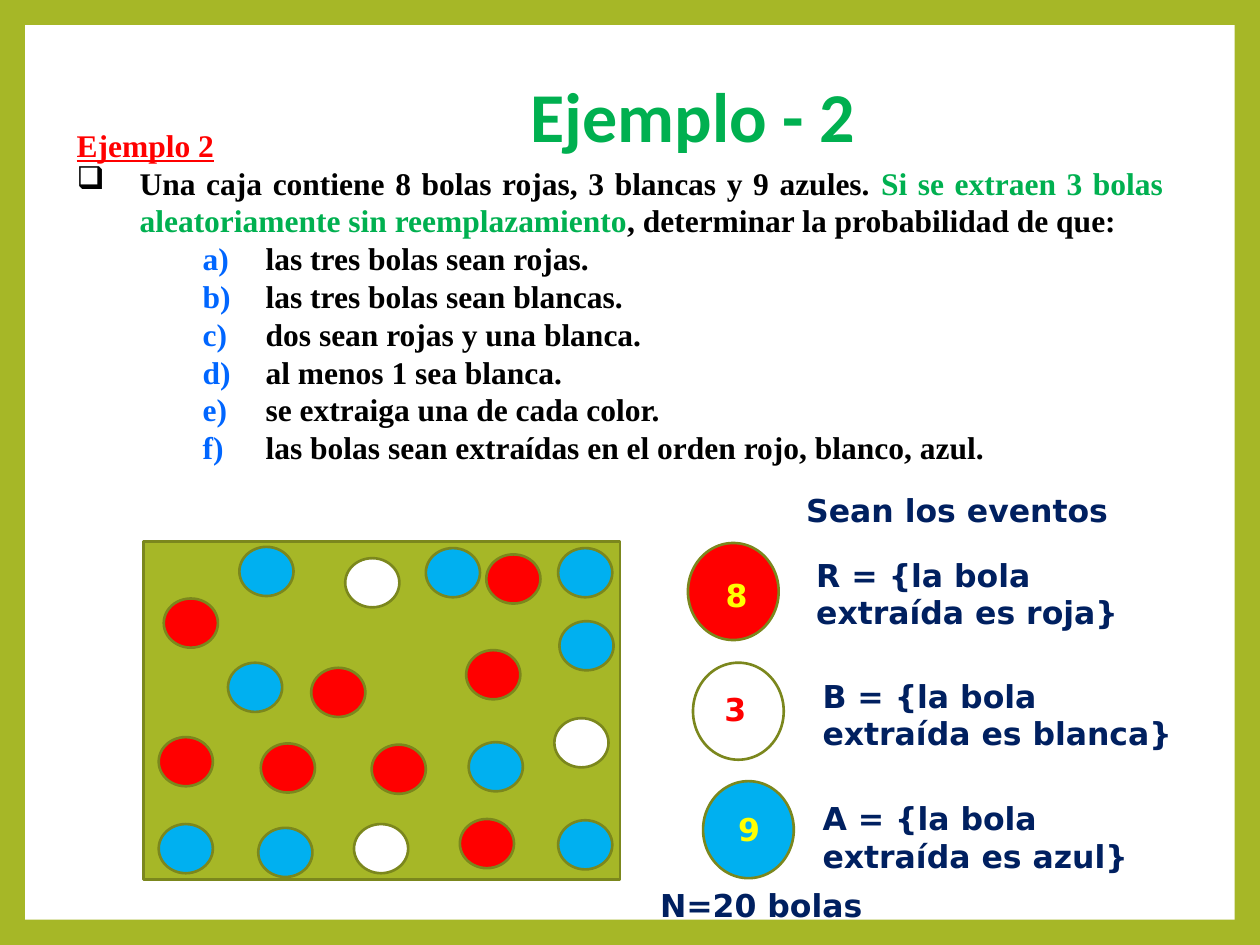
import pptx
import pptx.dml.color
import pptx.enum.shapes
import pptx.enum.text
import pptx.oxml
import pptx.oxml.ns
import pptx.util
from pptx.util import Inches

COLOURS = {
    "olive": "A6B727", "dark olive": "7B871D", "white": "FFFFFF",
    "red": "FF0000", "blue": "00B0F0", "green": "00B050",
    "yellow": "FFFF00", "navy": "002060", "black": "000000",
    "letter": "0066FF",
}
SHAPES = pptx.enum.shapes.MSO_SHAPE
ALIGN = pptx.enum.text.PP_ALIGN
ANCHOR = pptx.enum.text.MSO_ANCHOR

BALL_SIZE = (0.43, 0.39)
BALLS = {
    "red": [(1.3, 4.75), (2.47, 5.3), (1.26, 5.85), (3.7, 5.16),
            (2.95, 5.91), (2.07, 5.9), (3.86, 4.4), (3.65, 6.5)],
    "white": [(2.81, 6.54), (2.74, 4.43), (4.4, 5.7)],
    "blue": [(2.05, 6.57), (3.72, 5.89), (1.81, 5.26), (4.44, 4.93),
             (3.38, 4.35), (4.43, 6.51), (1.9, 4.34), (1.26, 6.54),
             (4.43, 4.35)],
}
# ball colour, ball position, count colour, count position, text, text place
EVENTS = [
    ("red", (5.46, 4.31), "yellow", (5.66, 4.52),
     "R = {la bola extraída es roja}", (6.38, 4.36, 2.76, 0.71)),
    ("white", (5.5, 5.26), "red", (5.65, 5.43),
     "B = {la bola extraída es blanca}", (6.43, 5.32, 3.07, 0.71)),
    ("blue", (5.58, 6.2), "yellow", (5.76, 6.38),
     "A = {la bola extraída es azul}", (6.43, 6.29, 2.76, 0.71)),
]
QUESTIONS = [
    "las tres bolas sean rojas.",
    "las tres bolas sean blancas.",
    "dos sean rojas y una blanca.",
    "al menos 1 sea blanca.",
    "se extraiga una de cada color.",
    "las bolas sean extraídas en el orden rojo, blanco, azul.",
]


def rgb(name):
    return pptx.dml.color.RGBColor.from_string(COLOURS[name])


def add_span(para, text, colour="navy", font="DejaVu Sans", size=18, underline=False):
    span = para.add_run()
    span.text = text
    span.font.name = font
    span.font.size = pptx.util.Pt(size)
    span.font.bold = True
    span.font.underline = underline
    span.font.color.rgb = rgb(colour)


def add_figure(page, kind, place, fill, line="dark olive"):
    figure = page.shapes.add_shape(kind, *map(Inches, place))
    figure.shadow.inherit = False
    figure.fill.solid()
    figure.fill.fore_color.rgb = rgb(fill)
    if line:
        figure.line.color.rgb = rgb(line)
        figure.line.width = pptx.util.Pt(1.5)
    else:
        figure.line.fill.background()


def add_box(page, place):
    """Add an empty wrapping text box and return its text frame."""
    frame = page.shapes.add_textbox(*map(Inches, place)).text_frame
    frame.word_wrap = True
    frame.auto_size = pptx.enum.text.MSO_AUTO_SIZE.SHAPE_TO_FIT_TEXT
    return frame


def add_label(page, text, place, **style):
    add_span(add_box(page, place).paragraphs[0], text, **style)


def format_item(para, margin, bullet="<a:buNone {}/>", level=0):
    """Justify a paragraph with a hanging indent and the given bullet XML."""
    para.alignment = ALIGN.JUSTIFY
    para.level = level
    properties = para._p.get_or_add_pPr()
    properties.set("marL", str(Inches(margin)))
    properties.set("indent", str(Inches(-0.5)))
    namespace = pptx.oxml.ns.nsdecls("a")
    if level:
        properties.append(pptx.oxml.parse_xml(
            f'<a:buClr {namespace}><a:srgbClr val="{COLOURS["letter"]}"/></a:buClr>'))
    properties.append(pptx.oxml.parse_xml(bullet.format(namespace)))


def add_title(page):
    title = page.shapes.title
    title.left, title.top, title.width, title.height = map(Inches, (1.5, 0.33, 8, 1.25))
    title.text_frame.vertical_anchor = ANCHOR.MIDDLE
    para = title.text_frame.paragraphs[0]
    para.alignment = ALIGN.CENTER
    para.line_spacing = 0.9
    add_span(para, "Ejemplo - 2", colour="green", font="Calibri", size=40)


def add_problem(page):
    serif = "Times New Roman"
    frame = add_box(page, (0.51, 0.95, 8.82, 2.8))
    heading = frame.paragraphs[0]
    format_item(heading, 0.5)
    add_span(heading, "Ejemplo 2", colour="red", font=serif, underline=True)

    statement = frame.add_paragraph()
    format_item(statement, 0.5, '<a:buChar {} char="❑"/>')
    for text, colour in [
        ("Una caja contiene 8 bolas rojas, 3 blancas y 9 azules. ", "black"),
        ("Si se extraen 3 bolas aleatoriamente sin reemplazamiento", "green"),
        (", determinar la probabilidad de que:", "black"),
    ]:
        add_span(statement, text, colour=colour, font=serif)

    for question in QUESTIONS:
        para = frame.add_paragraph()
        format_item(para, 1.5, '<a:buAutoNum {} type="alphaLcParenR"/>', level=2)
        add_span(para, question, colour="black", font=serif)


def add_ball_box(page):
    add_figure(page, SHAPES.RECTANGLE, (1.14, 4.3, 3.78, 2.68), "olive")
    for colour, positions in BALLS.items():
        for position in positions:
            add_figure(page, SHAPES.OVAL, position + BALL_SIZE, colour)


def add_events(page):
    add_label(page, "Sean los eventos", (6.3, 3.85, 3.51, 0.4))
    for colour, ball, count_colour, count, text, place in EVENTS:
        add_figure(page, SHAPES.OVAL, ball + (0.72, 0.77), colour)
        add_label(page, str(len(BALLS[colour])), count + (0.29, 0.4), colour=count_colour)
        add_label(page, text, place)
    total = sum(map(len, BALLS.values()))
    add_label(page, f"N={total} bolas", (5.14, 6.98, 2.16, 0.4))


def main():
    deck = pptx.Presentation()
    deck.slide_width, deck.slide_height = Inches(10), Inches(7.5)
    page = deck.slides.add_slide(deck.slide_layouts[5])
    page.background.fill.solid()
    page.background.fill.fore_color.rgb = rgb("olive")
    add_figure(page, SHAPES.RECTANGLE, (0.2, 0.2, 9.6, 7.1), "white", line=None)
    # The title comes first in the tree, so move it in front of the white panel.
    page.shapes._spTree.append(page.shapes.title._element)
    add_title(page)
    add_problem(page)
    add_ball_box(page)
    add_events(page)
    deck.save("out.pptx")


if __name__ == "__main__":
    main()
